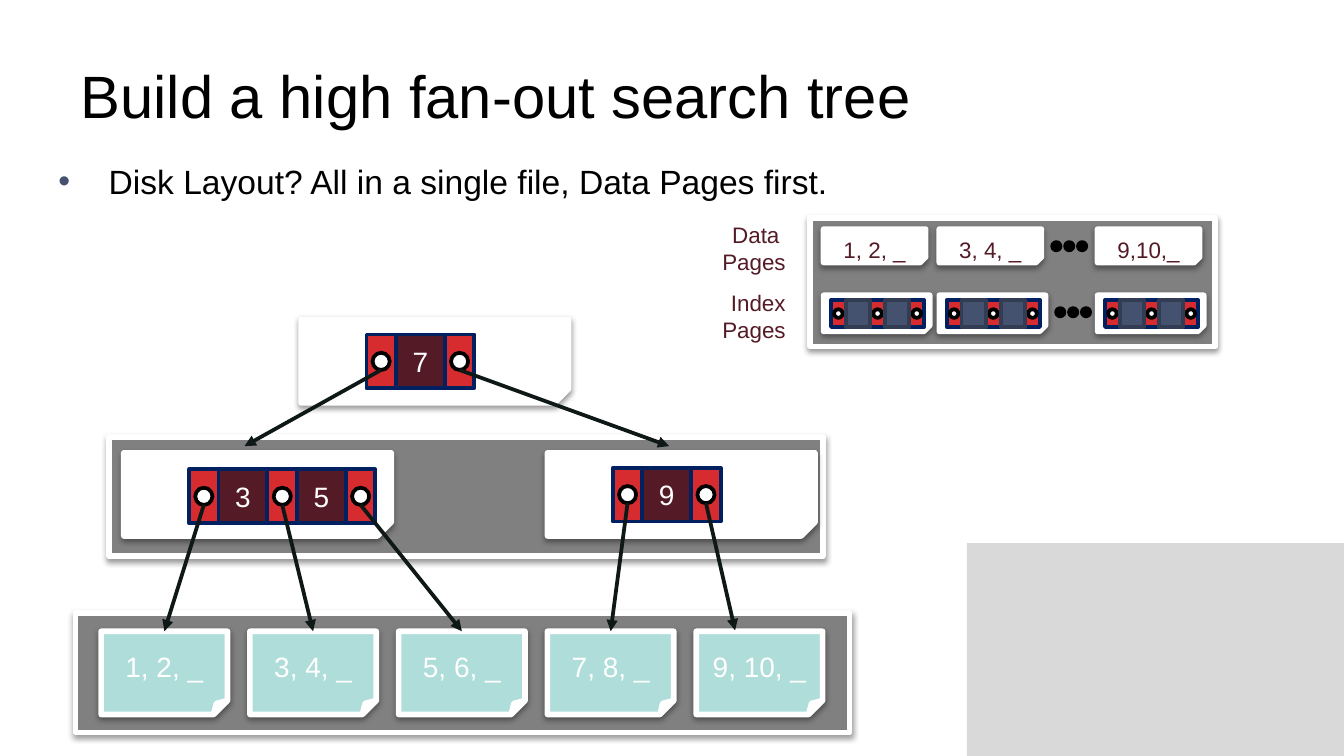
from lxml import etree
from pptx import Presentation
from pptx.dml.color import RGBColor
from pptx.enum.shapes import MSO_CONNECTOR, MSO_SHAPE
from pptx.enum.text import MSO_ANCHOR, PP_ALIGN
from pptx.oxml import parse_xml
from pptx.oxml.ns import qn
from pptx.util import Pt

RECT, OVAL, PAGE = MSO_SHAPE.RECTANGLE, MSO_SHAPE.OVAL, MSO_SHAPE.FOLDED_CORNER
LINE = MSO_CONNECTOR.STRAIGHT
TOP, MIDDLE = MSO_ANCHOR.TOP, MSO_ANCHOR.MIDDLE
LEFT, CENTER, RIGHT = PP_ALIGN.LEFT, PP_ALIGN.CENTER, PP_ALIGN.RIGHT

FONT = "Arial"
NS = "http://schemas.openxmlformats.org/drawingml/2006/main"
COLORS = {
    "black": "000000", "white": "FFFFFF", "gray": "808080", "pale": "D9D9D9",
    "wine": "541B27", "red": "D72C2F", "navy": "002060", "slate": "44516F",
    "edge": "323C52", "mint": "AFDDDA", "arrow": "0E1817",
}
SHADOW = (
    f'<a:effectLst xmlns:a="{NS}"><a:outerShdw blurRad="{Pt(3.1)}" dist="{Pt(1.6)}" '
    'dir="5400000" rotWithShape="0"><a:srgbClr val="000000"><a:alpha val="38000"/>'
    '</a:srgbClr></a:outerShdw></a:effectLst>'
)


def color(name):
    return RGBColor.from_string(COLORS[name])


def write(frame, text, size, tint, align, anchor=TOP):
    frame.text = text
    frame.vertical_anchor = anchor
    for para in frame.paragraphs:
        para.alignment = align
        for run in para.runs:
            run.font.name = FONT
            run.font.size = Pt(size)
            run.font.color.rgb = color(tint)


def place(shape, box):
    shape.left, shape.top, shape.width, shape.height = map(Pt, box)


def draw(slide, kind, box, fill, edge=None, width=2):
    shape = slide.shapes.add_shape(kind, *map(Pt, box))
    shape.shadow.inherit = False
    shape.fill.solid()
    shape.fill.fore_color.rgb = color(fill)
    if edge:
        shape.line.color.rgb = color(edge)
        shape.line.width = Pt(width)
    else:
        shape.line.fill.background()
    return shape


def raised(slide, kind, box, fill):
    shape = draw(slide, kind, box, fill, "white", 3)
    props = shape._element.spPr
    props.replace(props.find(qn("a:effectLst")), parse_xml(SHADOW))
    return shape


def arrow(slide, start, end, page=None):
    line = slide.shapes.add_connector(LINE, *map(Pt, (*start, *end)))
    line.line.color.rgb = color("arrow")
    line.line.width = Pt(2)
    etree.SubElement(line.line._get_or_add_ln(), qn("a:tailEnd"), type="triangle")
    etree.SubElement(line._element.spPr, qn("a:effectLst"))
    if page is not None:
        line.end_connect(page, 0)


def node(slide, left, top, keys, scale=1, fill="wine", edge="navy"):
    slot, pitch, high, dot = (n * scale for n in (15.8, 42, 28.8, 9.2))
    starts = []
    for i in range(len(keys) + 1):
        x = left + i * pitch
        draw(slide, RECT, (x, top, slot, high), "red", "navy")
        oval = (x + (slot - dot) / 2, top + (high - dot) / 2, dot, dot)
        draw(slide, OVAL, oval, "white", "black")
        starts.append((x + slot / 2, top + (high + dot) / 2))
    for i, key in enumerate(keys):
        box = (left + i * pitch + slot, top, pitch - slot, high)
        cell = draw(slide, RECT, box, fill, edge)
        if key:
            frame = cell.text_frame
            frame.margin_left = frame.margin_right = Pt(5)
            frame.margin_top = frame.margin_bottom = Pt(3)
            write(frame, key, 15, "white", CENTER, MIDDLE)
    return starts


def head(slide, box):
    left, top, width, height = box
    title, body = slide.placeholders
    place(title, (left + 12, top, width - 12, 68))
    write(title.text_frame, "Build a high fan-out search tree", 32, "black", LEFT, MIDDLE)

    place(body, (left, top + 66, width - 12, height - 66))
    frame = body.text_frame
    frame.text = "Disk Layout? All in a single file, Data Pages first."
    para = frame.paragraphs[0]
    para.space_before = Pt(0)
    props = para._p.get_or_add_pPr()
    props.set("marL", str(Pt(27)))
    props.set("indent", str(-Pt(27)))
    tint = etree.SubElement(props, qn("a:buClr"))
    etree.SubElement(tint, qn("a:srgbClr"), val=COLORS["slate"])
    etree.SubElement(props, qn("a:buFont"), typeface=FONT)
    etree.SubElement(props, qn("a:buChar"), char="•")
    font = para.runs[0].font
    font.name, font.size = FONT, Pt(18)
    font.color.rgb = color("black")


def disk(slide, box):
    left, top, width, height = box
    panel = left + 71
    raised(slide, RECT, (panel, top + 1.5, width - 71, height - 2), "gray")
    for row, label in enumerate(("Data \nPages", "Index\nPages")):
        text = slide.shapes.add_textbox(*map(Pt, (left, top + row * 36, 65, 36)))
        text.text_frame.word_wrap = True
        write(text.text_frame, label, 12, "wine", RIGHT)

    for x, label in zip((7.2, 69.2, 154), ("1, 2, _", "3, 4, _", "9,10,_")):
        page = raised(slide, PAGE, (panel + x, top + 7.5, 54.7, 18), "white")
        write(page.text_frame, label, 12, "wine", CENTER)
        raised(slide, PAGE, (panel + x, top + 43, 56.9, 19.4), "white")
        node(slide, panel + x + 4, top + 45.6, ("", ""), 0.5, "slate", "edge")
    for x, y in ((129.7, 14.5), (131.8, 49.9)):
        for i in range(3):
            dot = (panel + x + i * 6.9, top + y, 4.4, 4.4)
            draw(slide, OVAL, dot, "black", "black")


def tree(slide, box):
    left, top, width, height = box
    raised(slide, RECT, (left + 18, top + 62.8, 382.4, 64), "gray")
    raised(slide, RECT, (left, top + height - 64, width, 64), "gray")

    leaves = []
    for i, label in enumerate(("1, 2, _", "3, 4, _", "5, 6, _", "7, 8, _", "9, 10, _")):
        spot = (left + 13.7 + i * 79.7, top + 167, 67.7, 44.6)
        leaf = raised(slide, PAGE, spot, "mint")
        write(leaf.text_frame, label, 15, "white", CENTER, MIDDLE)
        leaves.append(leaf)

    starts = []
    for x, y, dip, keys in (
        (120.8, 0, 8, ("7",)), (25.8, 71.4, 8.9, ("3", "5")), (252.8, 71.4, 8, ("9",)),
    ):
        raised(slide, PAGE, (left + x, top + y, 143.3, 44.6), "white")
        starts += node(slide, left + x + 35, top + y + dip, keys)

    for start, x in zip(starts[:2], (90.5, 318)):
        arrow(slide, start, (left + x, top + 67.8))
    for start, leaf in zip(starts[2:6], leaves):
        arrow(slide, start, start, leaf)
    arrow(slide, starts[6], (left + 353.3, top + 166.5))


def main():
    deck = Presentation()
    deck.slide_width, deck.slide_height = Pt(720), Pt(405)
    slide = deck.slides.add_slide(deck.slide_layouts[1])
    draw(slide, RECT, (518, 291, 202, 114), "pale")
    head(slide, (24, 16.6, 660, 333))
    disk(slide, (363, 115.2, 288, 71))
    tree(slide, (40.5, 171.2, 414.7, 221.2))
    deck.save("out.pptx")


if __name__ == "__main__":
    main()
